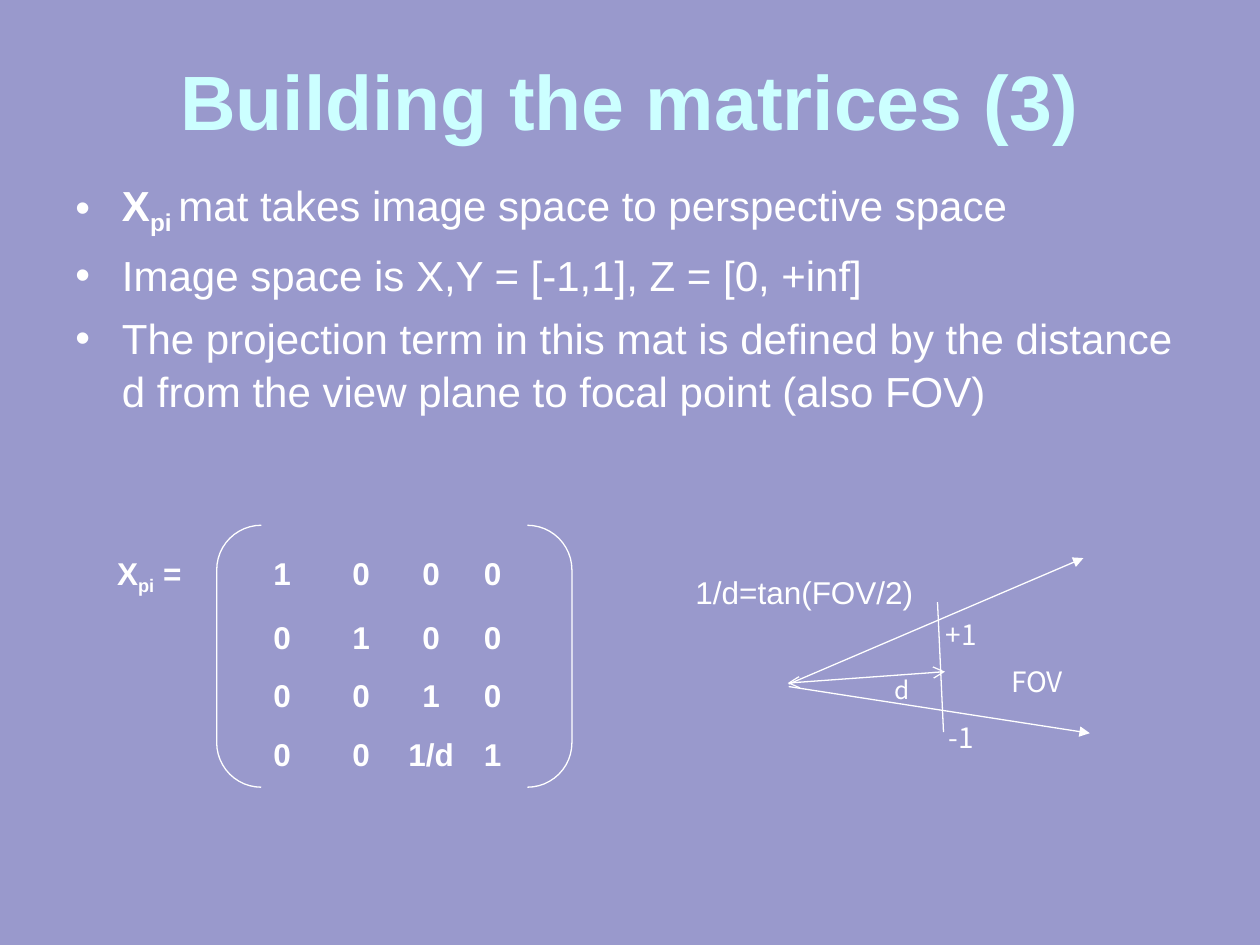
import pptx
import pptx.util
import pptx.dml.color
import pptx.enum.shapes
import pptx.enum.text
import pptx.oxml
import pptx.oxml.ns
import lxml.etree

Cm = pptx.util.Cm
Pt = pptx.util.Pt
ALIGN = pptx.enum.text.PP_ALIGN
ANCHOR = pptx.enum.text.MSO_ANCHOR
BACKGROUND = pptx.dml.color.RGBColor(0x99, 0x99, 0xCC)
TITLE_COLOR = pptx.dml.color.RGBColor(0xCC, 0xFF, 0xFF)
WHITE = pptx.dml.color.RGBColor(0xFF, 0xFF, 0xFF)
LABEL_FONT = "Noto Sans CJK KR"

TITLE = "Building the matrices (3)"
BULLETS = [
    [("X", "bold"), ("pi ", "bold sub"), ("mat takes image space to perspective space", "")],
    [("Image space is X,Y = [-1,1], Z = [0, +inf]", "")],
    [("The projection term in this mat is defined by the distance d from the view plane "
      "to focal point (also FOV)", "")],
]
MATRIX_NAME = [("X", "bold"), ("pi", "bold sub"), (" =", "bold")]
MATRIX = [
    ["1", "0", "0", "0"],
    ["0", "1", "0", "0"],
    ["0", "0", "1", "0"],
    ["0", "0", "1/d", "1"],
]
COLUMN_CENTERS = [3.33, 4.92, 6.33, 7.57]
RAYS = [
    ((15.9, 13.79), (21.84, 11.25), None, "triangle"),
    ((15.9, 13.84), (21.97, 14.78), None, "triangle"),
    ((18.9, 12.14), (19.02, 14.76), None, None),
    ((15.88, 13.77), (19.05, 13.54), "arrow", "arrow"),
]
LABELS = [
    ("d", (17.78, 13.49, 0.94, 0.69), 14, LABEL_FONT),
    ("FOV", (20.14, 13.28, 2.08, 0.69), 16, LABEL_FONT),
    ("+1", (18.82, 12.32, 1.7, 0.61), 16, LABEL_FONT),
    ("-1", (18.87, 14.4, 1.24, 0.71), 16, LABEL_FONT),
    ("1/d=tan(FOV/2)", (13.77, 11.43, 5.51, 1.02), 18, "Arial"),
]


def add_child(parent, tag, **attributes):
    child = lxml.etree.SubElement(parent, pptx.oxml.ns.qn(tag))
    for name, value in attributes.items():
        child.set(name, str(value))
    return child


def place(shape, box):
    shape.left, shape.top, shape.width, shape.height = [Cm(length) for length in box]


def write_text(shape, paragraphs, size, font="Arial", color=WHITE, align=ALIGN.LEFT,
               anchor=ANCHOR.TOP, space_before=0, line_spacing=1.0, bullet=None, tabs=()):
    frame = shape.text_frame
    frame.word_wrap = True
    frame.auto_size = pptx.enum.text.MSO_AUTO_SIZE.NONE
    frame.vertical_anchor = anchor
    for index, runs in enumerate(paragraphs):
        paragraph = frame.add_paragraph() if index else frame.paragraphs[0]
        paragraph.alignment = align
        paragraph.line_spacing = line_spacing
        paragraph.space_before = Pt(space_before if index else 0)
        properties = paragraph._p.get_or_add_pPr()
        if bullet:
            properties.set("marL", str(Cm(0.94)))
            properties.set("indent", str(Cm(-0.94)))
            add_child(add_child(properties, "a:buClr"), "a:srgbClr", val=WHITE)
            add_child(properties, "a:buFont", typeface=font)
            add_child(properties, "a:buChar", char=bullet)
        if tabs:
            tab_list = add_child(properties, "a:tabLst")
            for center in tabs:
                add_child(tab_list, "a:tab", pos=Cm(center), algn="ctr")
        for text, style in runs:
            run = paragraph.add_run()
            run.text = text
            run.font.size = Pt(size)
            run.font.name = font
            run.font.bold = "bold" in style
            run.font.color.rgb = color
            if "sub" in style:
                run._r.get_or_add_rPr().set("baseline", "-25000")


def add_text(shapes, box, paragraphs, size, **text_format):
    shape = shapes.add_textbox(*[Cm(length) for length in box])
    write_text(shape, paragraphs, size, **text_format)


def add_ray(shapes, start, end, head, tail):
    ray = shapes.add_connector(pptx.enum.shapes.MSO_CONNECTOR.STRAIGHT,
                               *[Cm(length) for length in start + end])
    ray.line.color.rgb = WHITE
    ray.line.width = Pt(0.75)
    line = ray.line._get_or_add_ln()
    for tag, kind in (("a:headEnd", head), ("a:tailEnd", tail)):
        if kind:
            add_child(line, tag, type=kind)
    add_child(ray._element.spPr, "a:effectLst")


def add_matrix(slide):
    group = slide.shapes.add_group_shape()
    rows = []
    for index, values in enumerate(MATRIX):
        cells = [("\t" + "\t".join(values), "bold")]
        rows.append(cells if index else MATRIX_NAME + cells)
    add_text(group.shapes, (2.11, 11, 12.07, 4.6), rows, 18,
             space_before=11.2, line_spacing=1.04, tabs=COLUMN_CENTERS)
    brackets = group.shapes.add_shape(pptx.enum.shapes.MSO_SHAPE.DOUBLE_BRACKET, 0, 0, 0, 0)
    place(brackets, (4.37, 10.59, 7.16, 5.28))
    brackets.adjustments[0] = 0.17
    brackets.shadow.inherit = False
    brackets.fill.background()
    brackets.line.color.rgb = WHITE
    brackets.line.width = Pt(0.75)


def main():
    presentation = pptx.Presentation()
    presentation.slide_width = Cm(25.4)
    presentation.slide_height = Cm(19.05)
    slide = presentation.slides.add_slide(presentation.slide_layouts[5])
    slide.background.fill.solid()
    slide.background.fill.fore_color.rgb = BACKGROUND

    title = slide.shapes.title
    place(title, (1.27, 0.8, 22.86, 2.41))
    write_text(title, [[(TITLE, "bold")]], 44, color=TITLE_COLOR,
               align=ALIGN.CENTER, anchor=ANCHOR.MIDDLE)
    add_text(slide.shapes, (1.27, 3.43, 22.86, 15.04), BULLETS, 24,
             space_before=6, line_spacing=1.05, bullet="•")
    add_matrix(slide)
    for ray in RAYS:
        add_ray(slide.shapes, *ray)
    for text, box, size, font in LABELS:
        add_text(slide.shapes, box, [[(text, "")]], size, font=font)
    presentation.save("out.pptx")


if __name__ == "__main__":
    main()
